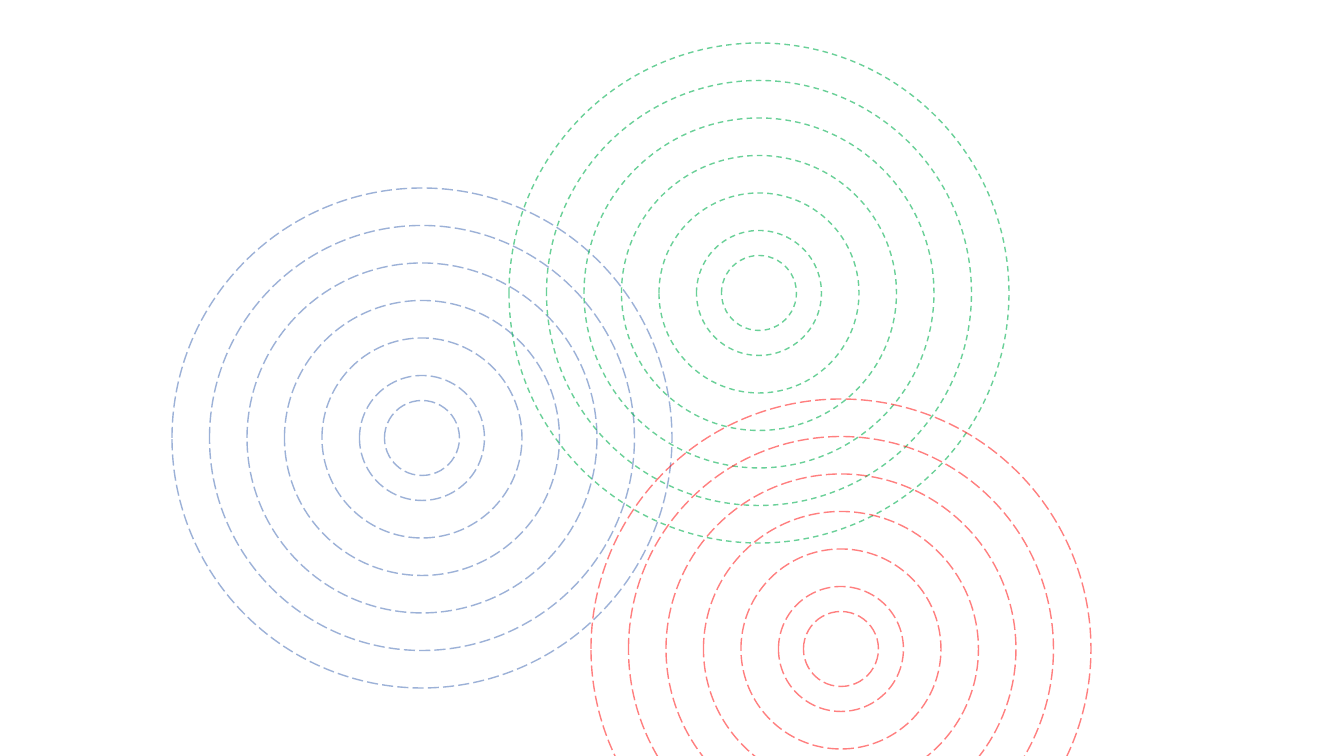
import lxml.etree
import pptx
import pptx.dml.color
import pptx.enum.dml
import pptx.enum.shapes
import pptx.oxml.ns
import pptx.util

EMU_PER_PX = 914400 / 100.8
COLORS = {"blue": "3E67B2", "green": "00B050", "red": "FF0000"}
DASH = pptx.enum.dml.MSO_LINE.DASH
LONG_DASH = pptx.enum.dml.MSO_LINE.LONG_DASH


def px(value):
    return pptx.util.Emu(round(value * EMU_PER_PX))


def add_ring(shapes, center_x, center_y, diameter, color, dash, opacity):
    ring = shapes.add_shape(
        pptx.enum.shapes.MSO_SHAPE.OVAL,
        px(center_x - diameter / 2), px(center_y - diameter / 2),
        px(diameter), px(diameter))
    ring.shadow.inherit = False
    ring.fill.background()
    ring.line.color.rgb = pptx.dml.color.RGBColor.from_string(COLORS[color])
    ring.line.width = pptx.util.Pt(1)
    ring.line.dash_style = dash
    # Line transparency
    qn = pptx.oxml.ns.qn
    line_color = ring.element.spPr.find(f"{qn('a:ln')}/{qn('a:solidFill')}/{qn('a:srgbClr')}")
    lxml.etree.SubElement(line_color, qn("a:alpha")).set("val", str(opacity * 1000))


# Slide
presentation = pptx.Presentation()
presentation.slide_width = px(1344)
presentation.slide_height = px(756)
slide = presentation.slides.add_slide(presentation.slide_layouts[6])

# Diameters: even steps of 75 px, then a smaller core
diameters = [*range(500, 124, -75), 75]

# Ripples: center x, center y, color, dash, opacity in percent
ripples = [
    (422, 438, "blue", LONG_DASH, 51),
    (759, 293, "green", DASH, 58),
    (841, 649, "red", LONG_DASH, 50),
]
for center_x, center_y, color, dash, opacity in ripples:
    group = slide.shapes.add_group_shape()
    for diameter in diameters:
        add_ring(group.shapes, center_x, center_y, diameter, color, dash, opacity)

presentation.save("out.pptx")
